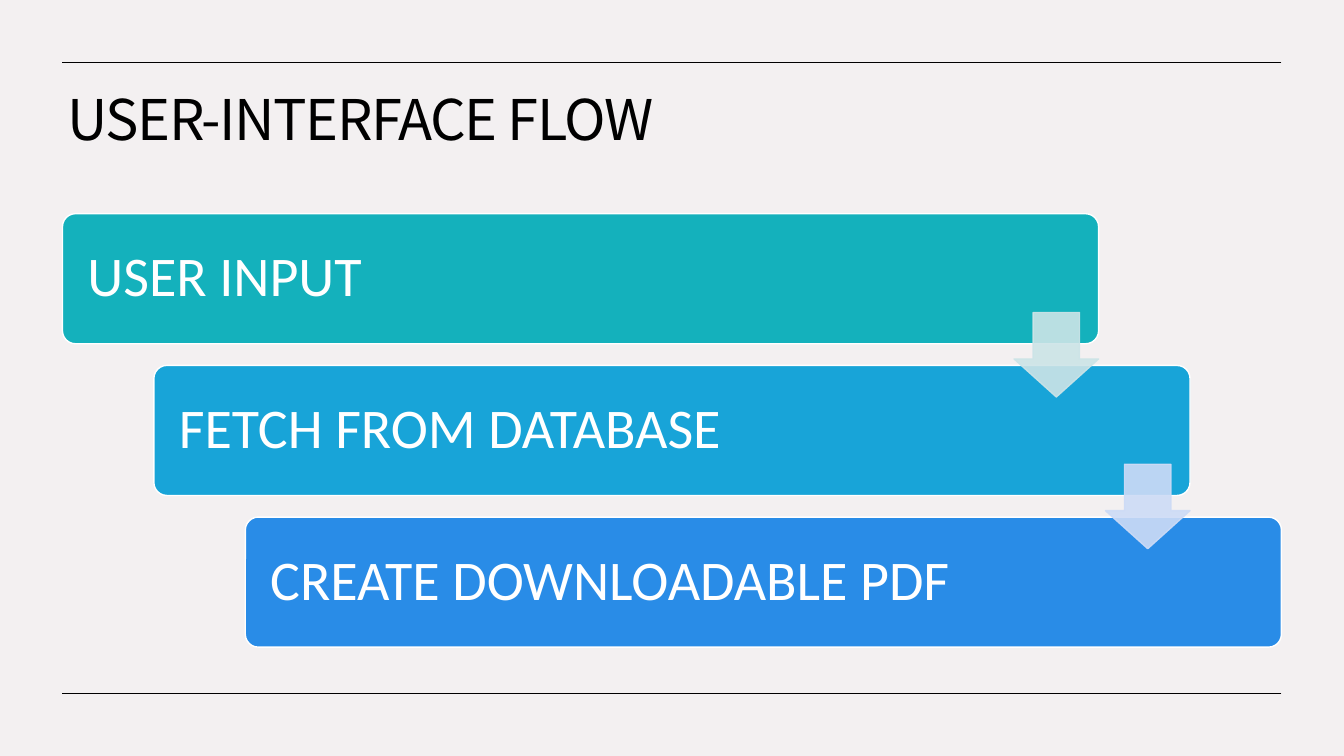
from lxml import etree
from pptx import Presentation
from pptx.dml.color import RGBColor
from pptx.enum.shapes import MSO_CONNECTOR as Connector, MSO_SHAPE as Shape
from pptx.enum.text import MSO_ANCHOR as Anchor, MSO_AUTO_SIZE as AutoSize, PP_ALIGN as Align
from pptx.oxml.ns import qn
from pptx.util import Inches, Pt

WIDTH, HEIGHT = 13.33, 7.5
MARGIN = 0.62
STEPS = [("USER INPUT", "14B1BC"), ("FETCH FROM DATABASE", "18A4D8"),
         ("CREATE DOWNLOADABLE PDF", "298CE7")]
ARROW_COLORS = ["CCE4E7", "CDDBF6"]


def color(value):
    """Turn a hex string into a colour."""
    return RGBColor.from_string(value)


def style_text(para, font_name, ink):
    """Format a paragraph as large left-aligned text."""
    para.alignment = Align.LEFT
    para.line_spacing = 0.9
    para.font.name = font_name
    para.font.size = Pt(40)
    para.font.color.rgb = color(ink)


def add_block(page, kind, box, adjustments, fill, outline):
    """Add a flat preset shape in the given box."""
    block = page.shapes.add_shape(kind, *map(Inches, box))
    block.shadow.inherit = False
    for index, value in enumerate(adjustments):
        block.adjustments[index] = value
    block.fill.solid()
    block.fill.fore_color.rgb = color(fill)
    block.line.color.rgb = color(outline)
    block.line.width = Pt(1)
    return block


def add_title(page, box, text):
    """Place the slide title at the top of its box."""
    title = page.shapes.title
    title.left, title.top, title.width, title.height = map(Inches, box)
    frame = title.text_frame
    frame.text = text
    frame.word_wrap = True
    frame.auto_size = AutoSize.NONE
    frame.vertical_anchor = Anchor.TOP
    para = frame.paragraphs[0]
    style_text(para, "Noto Sans CJK KR", "000000")
    para.runs[0].font.name = "Noto Sans CJK KR"
    para.runs[0]._r.get_or_add_rPr().set("spc", "-100")


def add_rule(page, y):
    """Draw a thin line between the side margins."""
    rule = page.shapes.add_connector(Connector.STRAIGHT, Inches(WIDTH - MARGIN), Inches(y),
                                     Inches(MARGIN), Inches(y))
    rule.line.color.rgb = color("000000")
    rule.line.width = Pt(0.5)
    etree.SubElement(rule._element.spPr, qn("a:effectLst"))


def add_step(page, box, text, fill):
    """Add one labelled bar of the flow."""
    bar = add_block(page, Shape.ROUNDED_RECTANGLE, box, [0.1], fill, "FFFFFF")
    frame = bar.text_frame
    frame.word_wrap = True
    frame.vertical_anchor = Anchor.MIDDLE
    frame.margin_left = frame.margin_right = Inches(0.21)
    frame.text = text
    style_text(frame.paragraphs[0], "Calibri", "FFFFFF")


def add_arrow(page, box, fill):
    """Add a slightly transparent arrow pointing down."""
    arrow = add_block(page, Shape.DOWN_ARROW, box, [0.55, 0.45], fill, fill)
    for tint in arrow._element.spPr.iter(qn("a:srgbClr")):
        etree.SubElement(tint, qn("a:alpha"), val="90000")


def add_flow(page, box):
    """Stagger the steps across the box and link them with arrows."""
    left, top, width, height = box
    bar_width, bar_height = width * 0.85, height * 0.3
    shift_x = (width - bar_width) / (len(STEPS) - 1)
    shift_y = (height - bar_height) / (len(STEPS) - 1)
    side = bar_height * 0.65
    for index, (text, fill) in enumerate(STEPS):
        place = left + index * shift_x, top + index * shift_y, bar_width, bar_height
        add_step(page, place, text, fill)
    for index, fill in enumerate(ARROW_COLORS):
        x = left + index * shift_x + bar_width - side
        y = top + index * shift_y + bar_height * 0.76
        add_arrow(page, (x, y, side, side), fill)


def main():
    """Build and save the deck."""
    deck = Presentation()
    deck.slide_width, deck.slide_height = Inches(WIDTH), Inches(HEIGHT)
    page = deck.slides.add_slide(deck.slide_layouts[5])
    page.background.fill.solid()
    page.background.fill.fore_color.rgb = color("F3F0F1")
    add_title(page, (0.57, 0.86, 12.15, 1.15), "USER-INTERFACE FLOW")
    for y in (MARGIN, HEIGHT - MARGIN):
        add_rule(page, y)
    add_flow(page, (MARGIN, 2.12, WIDTH - 2 * MARGIN, 4.3))
    deck.save("out.pptx")


if __name__ == "__main__":
    main()
